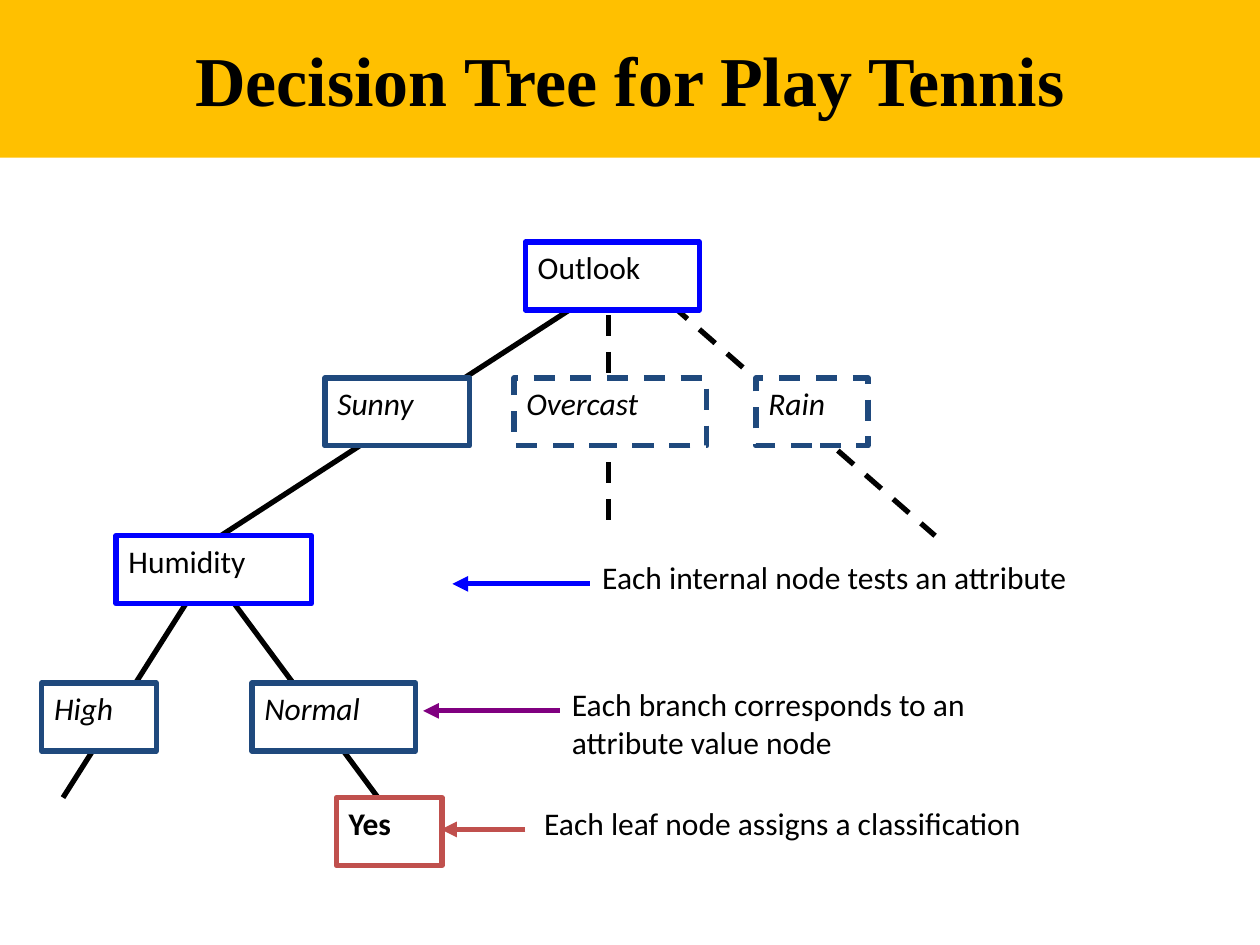
from lxml.etree import SubElement
from pptx import Presentation
from pptx.dml.color import RGBColor
from pptx.enum.dml import MSO_LINE
from pptx.enum.shapes import MSO_CONNECTOR, MSO_SHAPE
from pptx.enum.text import MSO_ANCHOR, MSO_AUTO_SIZE, PP_ALIGN
from pptx.oxml.ns import qn
from pptx.util import Cm, Pt

COLORS = {
    "banner": "FFC000",
    "text": "000000",
    "box": "FFFFFF",
    "attribute": "0000FF",
    "value": "1F497D",
    "leaf": "C0504D",
    "branch": "800080",
}
BODY = {"name": "Calibri", "size": Pt(18)}
TITLE = {"name": "Times New Roman", "size": Pt(40), "bold": True}
NODE_STYLES = {
    "attribute": {},
    "value": {"italic": True},
    "leaf": {"bold": True},
}
NODE_HEIGHT = 1.37
ROOT_TOP, OUTLOOK_TOP, HUMIDITY_TOP, VALUE_TOP, LEAF_TOP = 4.88, 7.62, 10.8, 13.77, 16.08

NODES = [
    ("Outlook", "attribute", 10.59, ROOT_TOP, 3.51, False),
    ("Sunny", "value", 6.55, OUTLOOK_TOP, 2.92, False),
    ("Overcast", "value", 10.36, OUTLOOK_TOP, 3.89, True),
    ("Rain", "value", 15.24, OUTLOOK_TOP, 2.26, True),
    ("Humidity", "attribute", 2.34, HUMIDITY_TOP, 3.94, False),
    ("High", "value", 0.84, VALUE_TOP, 2.31, False),
    ("Normal", "value", 5.08, VALUE_TOP, 3.3, False),
    ("Yes", "leaf", 6.78, LEAF_TOP, 2.13, False),
]
BRANCHES = [
    (11.63, 6.15, 4.45, HUMIDITY_TOP, False),
    (13.54, 6.15, 18.85, HUMIDITY_TOP, True),
    (3.81, 12.07, 1.27, LEAF_TOP, False),
    (4.65, 12.07, 7.62, LEAF_TOP, False),
    (12.27, 6.35, 12.27, HUMIDITY_TOP, True),
]
NOTES = [
    (["Each internal node tests an attribute"], "attribute", 11.89, 11.13, 13.5, 1.27, 11.89, 9.12),
    (["Each branch corresponds to an", "attribute value node"], "branch", 11.28, 13.69, 12.09, 2.29, 11.28, 8.53),
    (["Each leaf node assigns a classification"], "leaf", 10.72, LEAF_TOP, 14.68, 1.27, 10.59, 8.89),
]


def color(name):
    """Return the named palette color."""
    return RGBColor.from_string(COLORS[name])


def write_text(shape, lines, style, alignment=PP_ALIGN.LEFT, anchor=MSO_ANCHOR.TOP):
    """Write formatted paragraphs into a shape."""
    frame = shape.text_frame
    frame.word_wrap = True
    frame.auto_size = MSO_AUTO_SIZE.NONE
    frame.vertical_anchor = anchor
    frame.text = "\n".join(lines)
    for paragraph in frame.paragraphs:
        paragraph.alignment = alignment
        for run in paragraph.runs:
            for name, value in style.items():
                setattr(run.font, name, value)
            run.font.color.rgb = color("text")


def format_line(line, color_name, dashed=False):
    """Apply the common line weight, a color and an optional dash."""
    line.color.rgb = color(color_name)
    line.width = Pt(3)
    if dashed:
        line.dash_style = MSO_LINE.DASH


def add_title(slide, text):
    """Turn the title placeholder into a full-width banner."""
    title = slide.shapes.title
    position = {"left": Cm(0), "top": Cm(0), "width": Cm(25.4), "height": Cm(3.18)}
    for name, value in position.items():
        setattr(title, name, value)
    title.fill.solid()
    title.fill.fore_color.rgb = color("banner")
    write_text(title, [text], TITLE, PP_ALIGN.CENTER, MSO_ANCHOR.MIDDLE)


def add_line(slide, ends, color_name, dashed=False, arrow=False):
    """Draw a straight line, with an arrowhead at its end if asked."""
    connector = slide.shapes.add_connector(MSO_CONNECTOR.STRAIGHT, *map(Cm, ends))
    format_line(connector.line, color_name, dashed)
    if arrow:
        SubElement(connector.line._get_or_add_ln(), qn("a:tailEnd"), type="triangle")
    SubElement(connector._element.spPr, qn("a:effectLst"))


def add_node(slide, text, kind, left, top, width, dashed):
    """Draw one labelled tree node."""
    box = map(Cm, (left, top, width, NODE_HEIGHT))
    shape = slide.shapes.add_shape(MSO_SHAPE.RECTANGLE, *box)
    shape.shadow.inherit = False
    shape.fill.solid()
    shape.fill.fore_color.rgb = color("box")
    format_line(shape.line, kind, dashed)
    write_text(shape, [text], BODY | NODE_STYLES[kind])


def add_note(slide, lines, kind, left, top, width, height, start, end):
    """Add an explanation with an arrow level with its first line."""
    shape = slide.shapes.add_textbox(*map(Cm, (left, top, width, height)))
    write_text(shape, lines, BODY)
    level = top + 0.64
    add_line(slide, (start, level, end, level), kind, arrow=True)


def main():
    """Build and save the decision tree slide."""
    presentation = Presentation()
    presentation.slide_width, presentation.slide_height = Cm(25.4), Cm(19.05)
    slide = presentation.slides.add_slide(presentation.slide_layouts[5])
    add_title(slide, "Decision Tree for Play Tennis")
    for *ends, dashed in BRANCHES:
        add_line(slide, ends, "text", dashed)
    for node in NODES:
        add_node(slide, *node)
    for note in NOTES:
        add_note(slide, *note)
    presentation.save("out.pptx")


if __name__ == "__main__":
    main()
